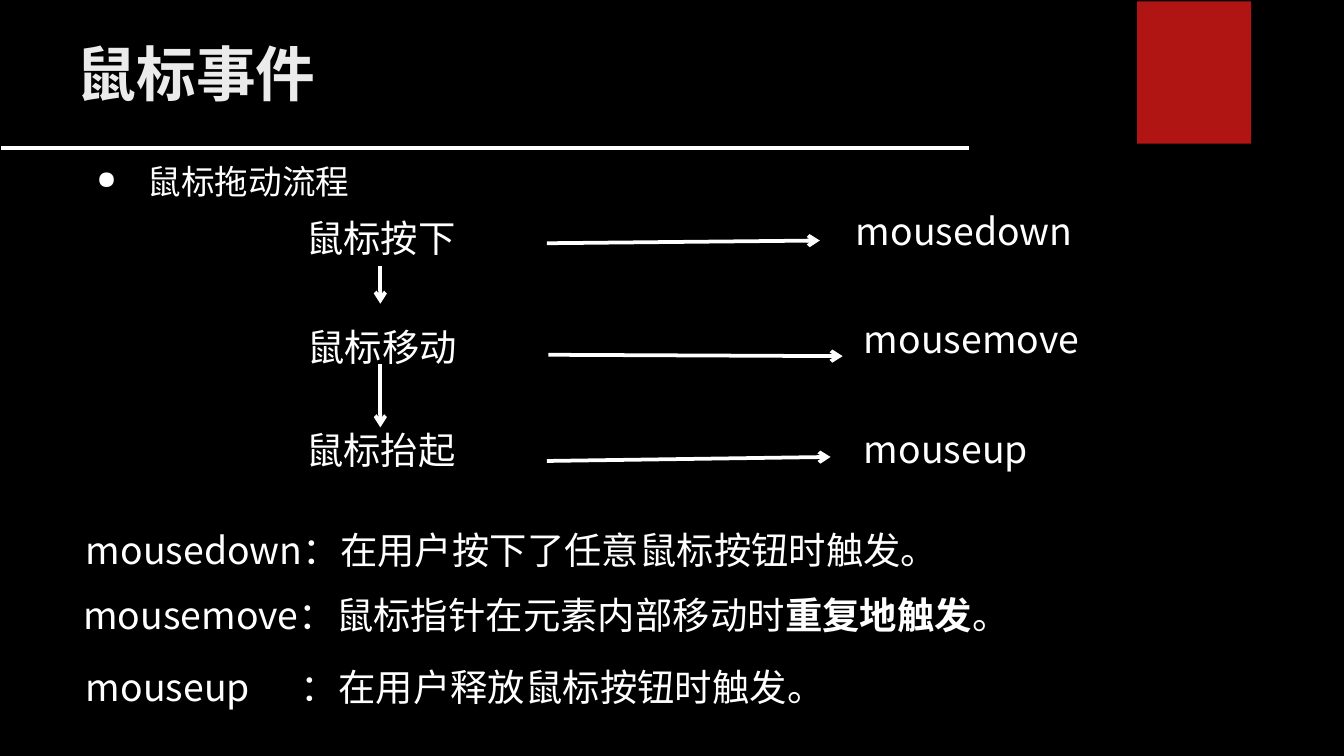
from lxml.etree import SubElement
from pptx import Presentation
from pptx.dml.color import RGBColor
from pptx.enum.shapes import MSO_CONNECTOR, MSO_SHAPE
from pptx.enum.text import MSO_ANCHOR, MSO_AUTO_SIZE, PP_ALIGN
from pptx.oxml.ns import qn
from pptx.util import Inches, Pt

FONT = "Noto Sans CJK SC"
WHITE = "FFFFFF"
TITLE = "鼠标事件"
TOPIC = "鼠标拖动流程"
LABELS = [
    ("鼠标按下", 2.18, 1.45, 1.75),
    ("鼠标移动", 2.19, 2.26, 1.75),
    ("鼠标抬起", 2.18, 3.03, 1.75),
    ("mousedown", 6.27, 1.4, 2.41),
    ("mousemove", 6.33, 2.2, 2.4),
    ("mouseup", 6.33, 3.02, 1.88),
]
ARROWS = [
    (2.83, 1.98, 2.83, 2.26),
    (2.83, 2.71, 2.83, 3.18),
    (4.07, 1.81, 6.1, 1.79),
    (4.08, 2.64, 6.27, 2.65),
    (4.07, 3.43, 6.18, 3.4),
]
NOTES = [
    (0.36, 3.77, [("mousedown：在用户按下了任意鼠标按钮时触发。", False)]),
    (0.34, 4.26, [("mousemove：鼠标指针在元素内部移动时", False),
                  ("重复地触发", True), ("。", False)]),
    (0.36, 4.79, [("mouseup\t：在用户释放鼠标按钮时触发。", False)]),
]


def color(code):
    return RGBColor.from_string(code)


def add_run(para, text, size, bold=False, code=WHITE):
    run = para.add_run()
    run.text = text
    font = run.font
    font.size, font.bold, font.name = Pt(size), bold, FONT
    font.color.rgb = color(code)
    SubElement(run._r.get_or_add_rPr(), qn("a:ea"), typeface=FONT)


def add_text(slide, spot, runs, size=20, inset=0.1):
    box = slide.shapes.add_textbox(*map(Inches, spot))
    frame = box.text_frame
    frame.word_wrap = True
    frame.auto_size = MSO_AUTO_SIZE.SHAPE_TO_FIT_TEXT
    frame.margin_left = Inches(inset)
    para = frame.paragraphs[0]
    para.line_spacing = 1.3
    para.space_before = para.space_after = Pt(8)
    for text, bold in runs:
        add_run(para, text, size, bold)
    return para


def add_line(slide, ends, width, arrow=False):
    line = slide.shapes.add_connector(MSO_CONNECTOR.STRAIGHT, *map(Inches, ends))
    line.line.color.rgb = color(WHITE)
    line.line.width = Pt(width)
    if arrow:
        SubElement(line.line._get_or_add_ln(), qn("a:tailEnd"), type="arrow")
    SubElement(line._element.spPr, qn("a:effectLst"))


def add_title(slide):
    title = slide.shapes.title
    title.left, title.top, title.width, title.height = map(Inches, (0.5, 0.23, 9, 0.94))
    frame = title.text_frame
    frame.vertical_anchor = MSO_ANCHOR.TOP
    frame.margin_left = frame.margin_right = Inches(0.07)
    frame.margin_top = frame.margin_bottom = Inches(0.04)
    para = frame.paragraphs[0]
    para.alignment = PP_ALIGN.LEFT
    add_run(para, TITLE, 32, True, "EBEBEB")


def main():
    deck = Presentation()
    deck.slide_width = Inches(10)
    deck.slide_height = deck.slide_width * 9 // 16
    slide = deck.slides.add_slide(deck.slide_layouts[5])
    slide.background.fill.solid()
    slide.background.fill.fore_color.rgb = color("000000")

    block = slide.shapes.add_shape(
        MSO_SHAPE.RECTANGLE, *map(Inches, (8.46, 0.01, 0.85, 1.06)))
    block.shadow.inherit = False
    block.fill.solid()
    block.fill.fore_color.rgb = color("B01513")
    block.line.fill.background()
    add_line(slide, (0.01, 1.1, 7.21, 1.1), 2.25)
    add_title(slide)

    topic = add_text(slide, (0.62, 1.06, 12.01, 0.75), [(TOPIC, False)], 18)
    props = topic._p.get_or_add_pPr()
    props.set("marL", str(Inches(0.38)))
    props.set("indent", str(Inches(-0.38)))
    SubElement(props, qn("a:buSzPct"), val="75000")
    SubElement(props, qn("a:buChar"), char="●")

    for text, left, top, width in LABELS:
        add_text(slide, (left, top, width, 0.53), [(text, False)])
    for ends in ARROWS:
        add_line(slide, ends, 2, True)
    for left, top, runs in NOTES:
        para = add_text(slide, (left, top, 9.87, 0.53), runs, inset=0.28)
        tabs = SubElement(para._p.get_or_add_pPr(), qn("a:tabLst"))
        SubElement(tabs, qn("a:tab"), pos=str(Inches(1.6)), algn="l")

    deck.save("out.pptx")


if __name__ == "__main__":
    main()
